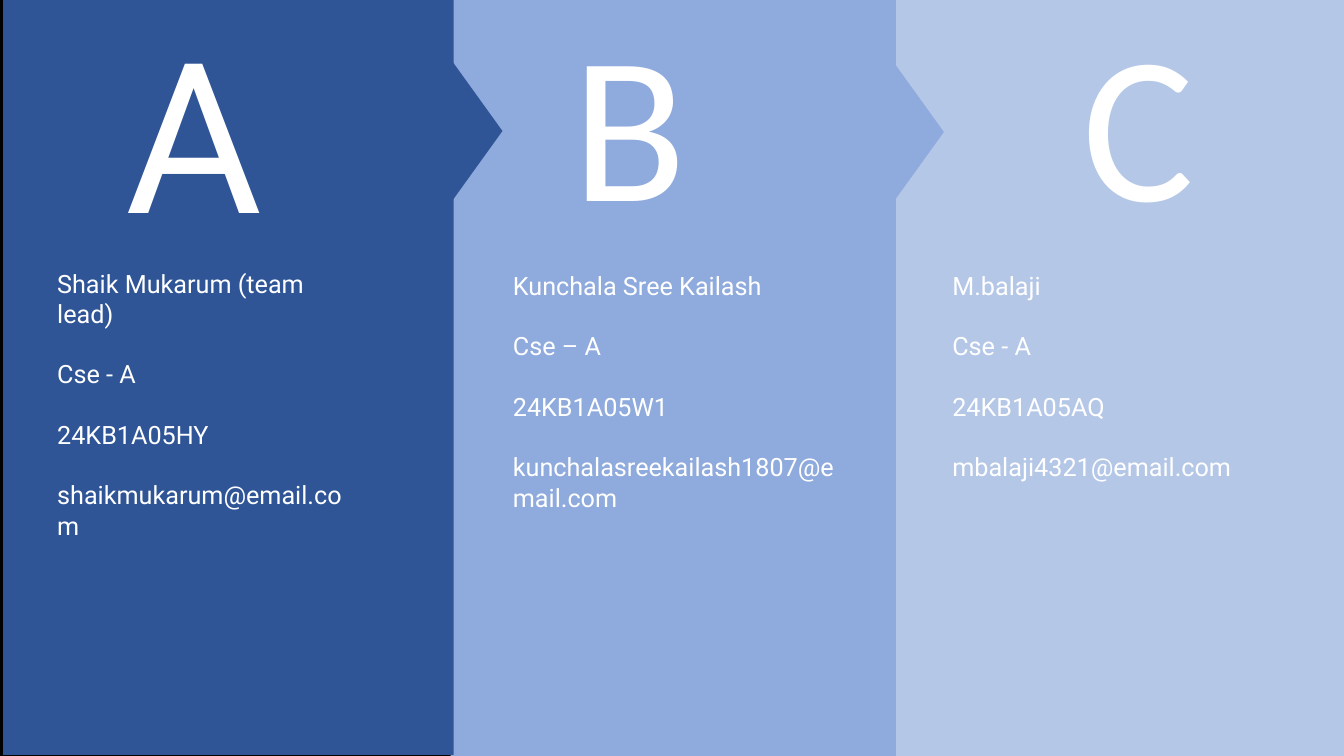
from pptx import Presentation
from pptx.dml.color import RGBColor
from pptx.enum.shapes import MSO_SHAPE
from pptx.enum.text import MSO_AUTO_SIZE, PP_ALIGN
from pptx.util import Pt

COLORS = {
    "background": "000000",
    "text": "FFFFFF",
    "dark": "2F5597",
    "medium": "8FAADC",
    "light": "B4C7E7",
}
LETTER_SIZE = (100, 189.4)
ARROW_SIZE = (100, 36)
LINE_GAP = 21.6

# Listed from back to front; boxes are left, top, width, height in points
MEMBERS = [
    {
        "color": "light", "panel": (638, 0, 322, 540), "arrow": None,
        "letter": "C", "letter_at": (766, -9.4), "letter_font": "Calibri",
        "details_box": (673.2, 189.4, 264.2, 160),
        "details": ["M.balaji", "Cse - A", "24KB1A05AQ", "mbalaji4321@email.com"],
    },
    {
        "color": "medium", "panel": (321.8, 0, 318.2, 540), "arrow": (606.2, 76.3),
        "letter": "B", "letter_at": (401.8, -9.4), "letter_font": "Calibri",
        "details_box": (359.3, 189.4, 244, 181.4),
        "details": ["Kunchala Sree Kailash", "Cse – A", "24KB1A05W1",
                    "kunchalasreekailash1807@email.com"],
    },
    {
        "color": "dark", "panel": (2.2, -0.7, 321.8, 540), "arrow": (290.9, 75.6),
        "letter": "A", "letter_at": (82.8, -0.7), "letter_font": "Roboto",
        "details_box": (33.8, 187.9, 221, 160),
        "details": ["Shaik Mukarum (team lead)", "Cse - A", "24KB1A05HY",
                    "shaikmukarum@email.com"],
    },
]


class SlideBuilder:
    """Holds the slide and draws its elements in one style."""

    def __init__(self, presentation):
        self.slide = presentation.slides.add_slide(presentation.slide_layouts[6])
        self.paint(self.slide.background.fill, "background")

    def paint(self, fill, color):
        fill.solid()
        fill.fore_color.rgb = RGBColor.from_string(COLORS[color])

    def shape(self, kind, box, color, rotation=0):
        shape = self.slide.shapes.add_shape(kind, *map(Pt, box))
        shape.shadow.inherit = False
        shape.rotation = rotation
        self.paint(shape.fill, color)
        shape.line.fill.background()

    def text(self, lines, box, font_name, size, gap=0):
        text_box = self.slide.shapes.add_textbox(*map(Pt, box))
        frame = text_box.text_frame
        frame.word_wrap = True
        frame.auto_size = MSO_AUTO_SIZE.SHAPE_TO_FIT_TEXT
        font_format = {"name": font_name, "size": Pt(size)}
        for index, line in enumerate(lines):
            paragraph = frame.add_paragraph() if index else frame.paragraphs[0]
            paragraph.alignment = PP_ALIGN.LEFT
            paragraph.space_before = Pt(gap if index else 0)
            run = paragraph.add_run()
            run.text = line
            for attribute, value in font_format.items():
                setattr(run.font, attribute, value)
            run.font.color.rgb = RGBColor.from_string(COLORS["text"])

    def member(self, member):
        # Coloured panel
        self.shape(MSO_SHAPE.RECTANGLE, member["panel"], member["color"])
        # Large letter and member details
        self.text([member["letter"]], member["letter_at"] + LETTER_SIZE,
                  member["letter_font"], 150)
        self.text(member["details"], member["details_box"], "Roboto", 18, LINE_GAP)
        # Arrow tip pointing to the next panel
        if member["arrow"]:
            self.shape(MSO_SHAPE.ISOSCELES_TRIANGLE, member["arrow"] + ARROW_SIZE,
                       member["color"], rotation=90)


def main():
    presentation = Presentation()
    presentation.slide_width = Pt(960)
    presentation.slide_height = Pt(540)
    builder = SlideBuilder(presentation)
    for member in MEMBERS:
        builder.member(member)
    presentation.save("out.pptx")


if __name__ == "__main__":
    main()
